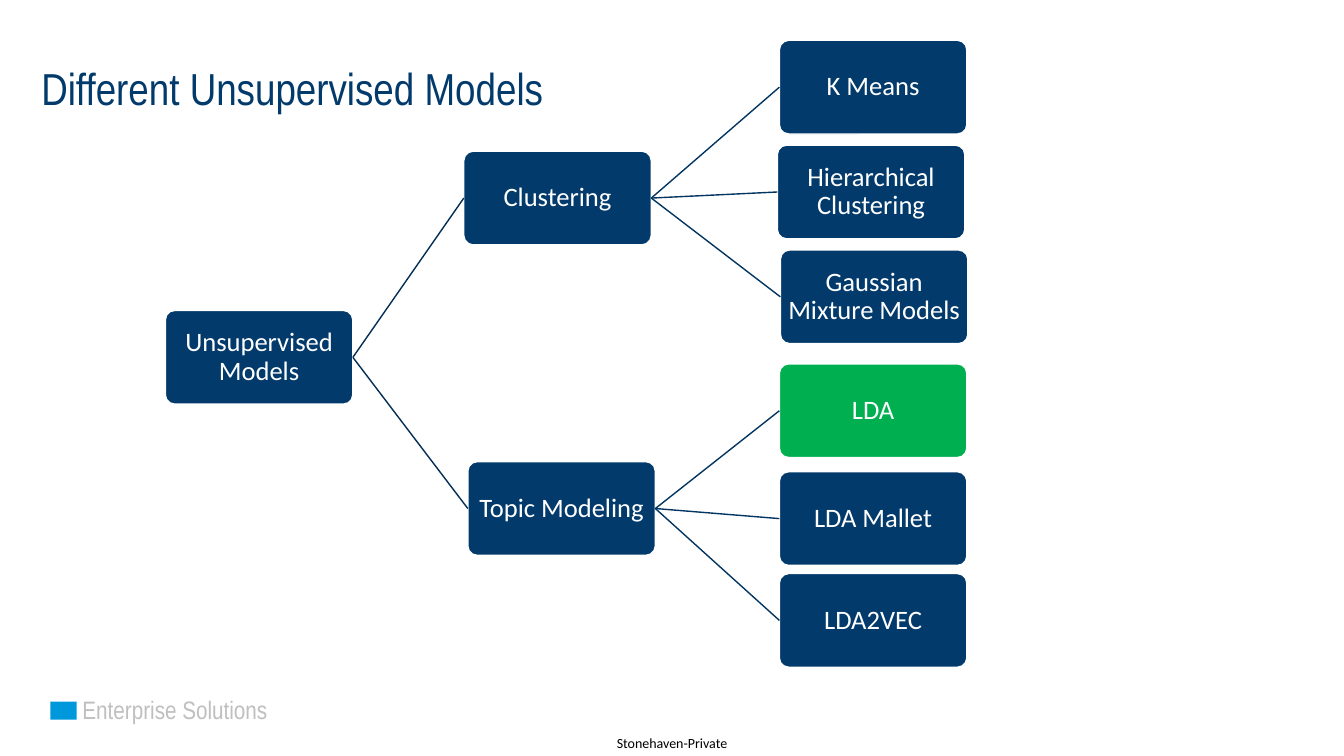
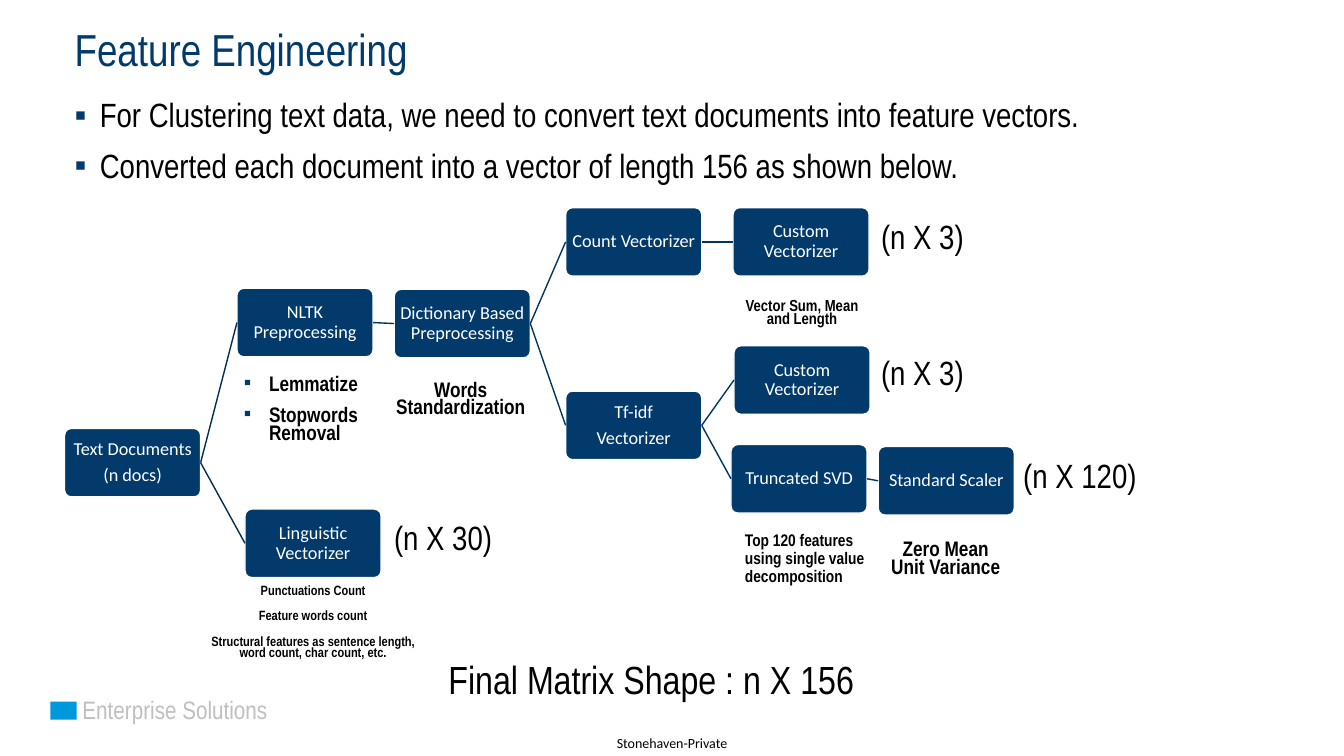
import lxml.etree
import pptx
import pptx.dml.color
import pptx.enum.shapes
import pptx.enum.text
import pptx.oxml.ns
import pptx.util

PX = 9144  # EMU in one px, 100 px to the inch
NAVY, GREEN, WHITE, BLACK = "023A6B", "00B050", "FFFFFF", "000000"
ROOT_LINE, LEAF_LINE = "022E56", "023561"
CYAN, GREY = "0098DC", "BFBFBF"
HEAD, BODY = "Arial Narrow", "Calibri"

rgb = pptx.dml.color.RGBColor.from_string
qn = pptx.oxml.ns.qn
Pt = pptx.util.Pt
LEFT, CENTER = pptx.enum.text.PP_ALIGN.LEFT, pptx.enum.text.PP_ALIGN.CENTER
TOP, MIDDLE = pptx.enum.text.MSO_ANCHOR.TOP, pptx.enum.text.MSO_ANCHOR.MIDDLE


def px(*sizes):
    return [pptx.util.Emu(size * PX) for size in sizes]


def write(shape, text, size, font=HEAD, color=BLACK, bold=False, align=LEFT,
          space=1.0, before=0, after=0, anchor=TOP, bullet=False):
    """Fill a shape with one paragraph for each line of text."""
    frame = shape.text_frame
    frame.text = text
    frame.word_wrap = True
    frame.auto_size = pptx.enum.text.MSO_AUTO_SIZE.NONE
    frame.vertical_anchor = anchor
    for par in frame.paragraphs:
        par.alignment = align
        par.line_spacing = space
        par.space_before, par.space_after = Pt(before), Pt(after)
        if bullet:
            props = par._p.get_or_add_pPr()
            props.set("marL", str(25 * PX))
            props.set("indent", str(-25 * PX))
            tint = lxml.etree.SubElement(props, qn("a:buClr"))
            lxml.etree.SubElement(tint, qn("a:srgbClr"), val=NAVY)
            lxml.etree.SubElement(props, qn("a:buFont"), typeface="Arial")
            lxml.etree.SubElement(props, qn("a:buChar"), char="▪")
        par.font.size, par.font.name, par.font.bold = Pt(size), font, bold
        par.font.color.rgb = rgb(color)


deck = pptx.Presentation()
deck.slide_width, deck.slide_height = px(1333, 750)

# Titles and footers; layout 5 is title only, layout 1 has a body as well
for layout, title, left, top in [
    (5, "Different Unsupervised Models", 31, 18),
    (1, "Feature Engineering", 64, -21),
]:
    slide = deck.slides.add_slide(deck.slide_layouts[layout])
    head = slide.shapes.title
    head.left, head.top, head.width, head.height = px(left, top, 1150, 145)
    write(head, title, 32, color=NAVY, space=0.9, anchor=MIDDLE)

    block = slide.shapes.add_shape(
        pptx.enum.shapes.MSO_SHAPE.RECTANGLE, *px(50, 696, 26, 18))
    block.shadow.inherit = False
    block.fill.solid()
    block.fill.fore_color.rgb = rgb(CYAN)
    block.line.fill.background()
    unit = slide.shapes.add_textbox(*px(72, 684, 240, 40))
    write(unit, "Enterprise Solutions", 18, color=GREY)

    label = slide.shapes.add_textbox(*px(589, 722, 155, 29))
    write(label, "Stonehaven-Private", 10, font=BODY, align=CENTER, anchor=MIDDLE)
    frame = label.text_frame
    frame.margin_left, frame.margin_top, frame.margin_right, frame.margin_bottom = px(0, 0, 0, 0)

models, features = deck.slides

# Trees: each node is text, left, top and the index of its parent
model_nodes = [
    ("Unsupervised Models", 164, 308, None),
    ("Clustering", 460, 150, 0),
    ("K Means", 773, 40, 1),
    ("Hierarchical Clustering", 771, 144, 1),
    ("Gaussian Mixture Models", 774, 248, 1),
    ("Topic Modeling", 464, 458, 0),
    ("LDA", 773, 361, 5),
    ("LDA Mallet", 773, 468, 5),
    ("LDA2VEC", 773, 569, 5),
]
feature_nodes = [
    ("Text Documents\n(n docs)", 64, 425, None),
    ("NLTK Preprocessing", 235, 286, 0),
    ("Dictionary Based Preprocessing", 391, 287, 1),
    ("Count Vectorizer", 561, 206, 2),
    ("Custom Vectorizer", 727, 206, 3),
    ("Tf-idf\nVectorizer", 561, 388, 2),
    ("Custom Vectorizer", 728, 343, 5),
    ("Truncated SVD", 725, 441, 5),
    ("Standard Scaler", 871, 443, 7),
    ("Linguistic Vectorizer", 243, 505, 0),
]
for slide, nodes, width, height, size in [
    (models, model_nodes, 186, 93, 19),
    (features, feature_nodes, 135, 68, 13),
]:
    boxes = []
    for text, left, top, root in nodes:
        box = slide.shapes.add_shape(
            pptx.enum.shapes.MSO_SHAPE.ROUNDED_RECTANGLE, *px(left, top, width, height))
        box.adjustments[0] = 0.1
        box.shadow.inherit = False
        box.fill.solid()
        box.fill.fore_color.rgb = rgb(GREEN if text == "LDA" else NAVY)
        box.line.color.rgb = rgb(WHITE)
        box.line.width = Pt(1)
        write(box, text, size, font=BODY, color=WHITE, align=CENTER,
              space=0.9, after=0.35 * size, anchor=MIDDLE)
        frame = box.text_frame
        frame.margin_left, frame.margin_top, frame.margin_right, frame.margin_bottom = px(1, 1, 1, 1)
        boxes.append(box)
        if root is not None:
            link = slide.shapes.add_connector(
                pptx.enum.shapes.MSO_CONNECTOR.STRAIGHT, 0, 0, 0, 0)
            link.begin_connect(boxes[root], 3)
            link.end_connect(box, 1)
            link.line.color.rgb = rgb(LEAF_LINE if root else ROOT_LINE)
            link.line.width = Pt(1)
            lxml.etree.SubElement(link._element.spPr, qn("a:effectLst"))

# Feature list
body = features.placeholders[1]
body.left, body.top, body.width, body.height = px(64, 93, 1036, 129)
write(body, "For Clustering text data, we need to convert text documents into feature vectors.\n"
      "Converted each document into a vector of length 156 as shown below.",
      24, space=0.9, before=10, bullet=True)

# Matrix shapes
for text, left, top in [
    ("(n X 30)", 381, 516),
    ("(n X 3)", 864, 352),
    ("(n X 3)", 864, 217),
    ("(n X 120)", 1005, 454),
]:
    shape = features.shapes.add_textbox(*px(left, top, 134, 45))
    write(shape, text, 24, space=0.8, before=10)
total = features.shapes.add_textbox(*px(435, 650, 436, 58))
write(total, "Final Matrix Shape : n X 156", 28, space=0.9, before=10)

# Notes under the boxes
for text, area, size, align, space, bullet in [
    ("Lemmatize\nStopwords Removal", (232, 369, 134, 97), 15, LEFT, 0.7, True),
    ("Words Standardization", (380, 375, 154, 66), 15, CENTER, 0.7, False),
    ("Vector Sum, Mean and Length", (727, 293, 137, 48), 11.4, CENTER, 0.7, False),
    ("Top 120 features using single value decomposition",
     (729, 523, 160, 48), 12, LEFT, 0.9, False),
    ("Zero Mean Unit Variance", (871, 533, 134, 45), 15, CENTER, 0.7, False),
    ("Punctuations Count\nFeature words count\n"
     "Structural features as sentence length, word count, char count, etc.",
     (196, 577, 229, 97), 9.6, CENTER, 0.7, False),
]:
    note = features.shapes.add_textbox(*px(*area))
    write(note, text, size, bold=True, align=align, space=space, before=10, bullet=bullet)

deck.save("out.pptx")
